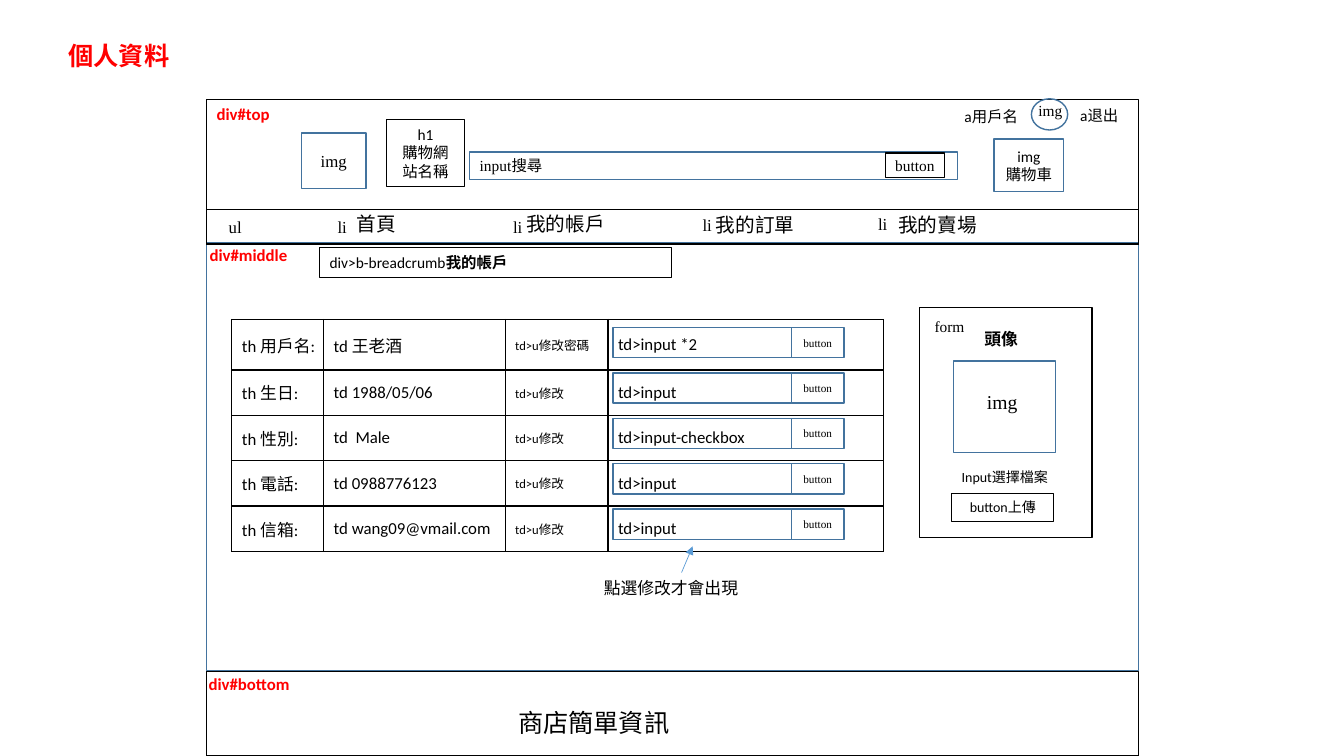
import lxml.etree
import pptx
import pptx.dml.color
import pptx.enum.shapes
import pptx.enum.text
import pptx.oxml
import pptx.oxml.ns
import pptx.util

Inches, Pt = pptx.util.Inches, pptx.util.Pt
ALIGN = pptx.enum.text.PP_ALIGN
ANCHOR = pptx.enum.text.MSO_ANCHOR
SHAPE = pptx.enum.shapes.MSO_SHAPE
BLACK, RED, BLUE, SKY = "000000", "FF0000", "43739E", "5B9BD5"
SERIF = "Times New Roman"


def write(frame, text, size=11, font="Calibri", color=BLACK, bold=False,
          align=ALIGN.LEFT, anchor=ANCHOR.TOP, wrap=True):
    frame.word_wrap, frame.vertical_anchor = wrap, anchor
    runs_by_line = [[(line, {})] for line in text.split("\n")] if isinstance(text, str) else [text]
    for number, runs in enumerate(runs_by_line):
        paragraph = frame.add_paragraph() if number else frame.paragraphs[0]
        paragraph.alignment = align
        for words, changes in runs:
            run = paragraph.add_run()
            run.text = words
            run.font.color.rgb = pptx.dml.color.RGBColor.from_string(color)
            look = {"size": Pt(size), "name": font, "bold": bold} | changes
            for attribute, value in look.items():
                setattr(run.font, attribute, value)


def box(at, text="", line=None, weight=1, fill=None, kind=SHAPE.RECTANGLE, **look):
    place = [Inches(length) for length in at]
    if line:
        part = slide.shapes.add_shape(kind, *place)
        part.shadow.inherit = False
        part.line.color.rgb = pptx.dml.color.RGBColor.from_string(line)
        part.line.width = Pt(weight)
        if fill:
            part.fill.solid()
            part.fill.fore_color.rgb = pptx.dml.color.RGBColor.from_string(fill)
        else:
            part.fill.background()
    else:
        part = slide.shapes.add_textbox(*place)
    if text:
        write(part.text_frame, text, **look)


deck = pptx.Presentation()
deck.slide_width, deck.slide_height = Inches(13.33), Inches(7.5)
slide = deck.slides.add_slide(deck.slide_layouts[5])

centered = {"align": ALIGN.CENTER}
middle = {"align": ALIGN.CENTER, "anchor": ANCHOR.MIDDLE}

title = slide.shapes.title
title_place = {"left": 0.58, "top": 0.35, "width": 1.21, "height": 0.4}
for attribute, value in title_place.items():
    setattr(title, attribute, Inches(value))
title.text_frame.auto_size = pptx.enum.text.MSO_AUTO_SIZE.NONE
write(title.text_frame, "個人資料", size=18, color=RED, bold=True, wrap=False)

for top, height, line in [(2.41, 4.24, BLUE), (0.99, 1.43, BLACK), (6.66, 0.84, BLACK), (2.08, 0.34, BLACK)]:
    box((2.05, top, 9.24, height), line=line)

for left, top, label in [(2.05, 0.98, "div#top"), (1.98, 2.38, "div#middle"), (1.97, 6.63, "div#bottom")]:
    box((left, top, 1.2, 0.3), label, size=12, color=RED, bold=True)

box((3.83, 1.19, 0.78, 0.66), "h1\n購物網站名稱", line=BLACK, weight=0.75, **centered)
box((2.99, 1.32, 0.64, 0.55), "img", line=BLUE, fill="FFFFFF", size=12, font=SERIF, **middle)
box((4.66, 1.51, 4.84, 0.27), [("input", {"name": SERIF}), ("搜尋", {})], line=BLUE, anchor=ANCHOR.MIDDLE)
box((8.78, 1.52, 0.59, 0.24), "button", line=BLACK, font=SERIF, **middle)
box((9.86, 1.38, 0.69, 0.52), "img\n購物車", line=BLUE, **middle)
box((9.45, 1.01, 0.8, 0.29), "a用戶名 ", **centered)
box((10.23, 0.98, 0.36, 0.31), line=BLUE, kind=SHAPE.OVAL)
box((10.2, 0.95, 0.5, 0.29), "img", font=SERIF)
box((10.52, 1, 0.8, 0.29), "a退出 ", **centered)

for left, top, item in [(2.79, 2.05, "首頁"), (4.67, 2.05, "我的帳戶"), (6.55, 2.06, "我的訂單"), (8.36, 2.06, "我的賣場")]:
    box((left, top, 1.88, 0.34), item, size=14, **centered)
for left, top, tag in [(2.17, 2.1, "ul"), (3.25, 2.1, "li"), (4.99, 2.1, "li"), (6.87, 2.08, "li"), (8.61, 2.07, "li")]:
    box((left, top, 0.45, 0.3), tag, size=12, font=SERIF)

box((3.17, 2.46, 3.49, 0.29), [("div>b-breadcrumb", {}), ("我的帳戶", {"bold": True})], line=BLACK, weight=0.75)

box((9.12, 3.05, 1.71, 2.28), line=BLACK)
box((9.17, 3.1, 0.68, 0.29), "form", font=SERIF)
box((9.22, 3.21, 1.42, 0.3), "頭像", size=12, bold=True, **centered)
box((9.46, 3.58, 1.01, 0.91), line=BLUE)
box((9.64, 3.82, 0.6, 0.34), "img", size=14, font=SERIF, **centered)
box((9.13, 4.6, 1.67, 0.27), "Input選擇檔案", size=10, **centered)
box((9.44, 4.9, 1.01, 0.27), "button上傳", line=BLACK, weight=0.75, size=10, **centered)

profile_rows = [
    ("th 用戶名:", "td 王老酒", "td>u修改密碼", "td>input *2"),
    ("th 生日:", "td 1988/05/06", "td>u修改", "td>input"),
    ("th 性別:", "td  Male", "td>u修改", "td>input-checkbox"),
    ("th 電話:", "td 0988776123", "td>u修改", "td>input"),
    ("th 信箱:", "td wang09@vmail.com", "td>u修改", "td>input"),
]
row_height = 0.45
profile = slide.shapes.add_table(5, 4, Inches(2.3), Inches(3.17), Inches(6.46), Inches(5 * row_height)).table
profile.first_row = profile.horz_banding = False
for column, width in zip(profile.columns, (0.91, 1.8, 1.02, 2.73)):
    column.width = Inches(width)
for row, entries in enumerate(profile_rows):
    profile.rows[row].height = Inches(row_height)
    for column, entry in enumerate(entries):
        cell = profile.cell(row, column)
        cell.vertical_anchor = ANCHOR.MIDDLE
        write(cell.text_frame, entry, size=9 if column == 2 else 12, anchor=None, wrap=None)
        properties = cell._tc.get_or_add_tcPr()
        for side in ("lnL", "lnR", "lnT", "lnB"):
            properties.append(pptx.oxml.parse_xml(
                f'<a:{side} {pptx.oxml.ns.nsdecls("a")} w="12700"><a:solidFill>'
                f'<a:srgbClr val="{BLACK}"/></a:solidFill></a:{side}>'))
        cell.fill.background()

for row in range(len(profile_rows)):
    field_top = 3.25 + row * row_height
    box((6.08, field_top, 1.77, 0.3), line=BLUE)
    box((7.85, field_top, 0.52, 0.3), "button", line=BLUE, size=8, font=SERIF, **middle)

hint_arrow = slide.shapes.add_connector(
    pptx.enum.shapes.MSO_CONNECTOR.STRAIGHT, Inches(6.76), Inches(5.68), Inches(6.87), Inches(5.42))
hint_arrow.line.color.rgb = pptx.dml.color.RGBColor.from_string(SKY)
hint_arrow.line.width = Pt(0.5)
lxml.etree.SubElement(hint_arrow.line._get_or_add_ln(), pptx.oxml.ns.qn("a:tailEnd"), type="triangle")
lxml.etree.SubElement(hint_arrow._element.spPr, pptx.oxml.ns.qn("a:effectLst"))

box((5.89, 5.68, 1.7, 0.3), "點選修改才會出現", size=12)
box((5.04, 6.97, 1.9, 0.4), "商店簡單資訊", size=18)

deck.save("out.pptx")
